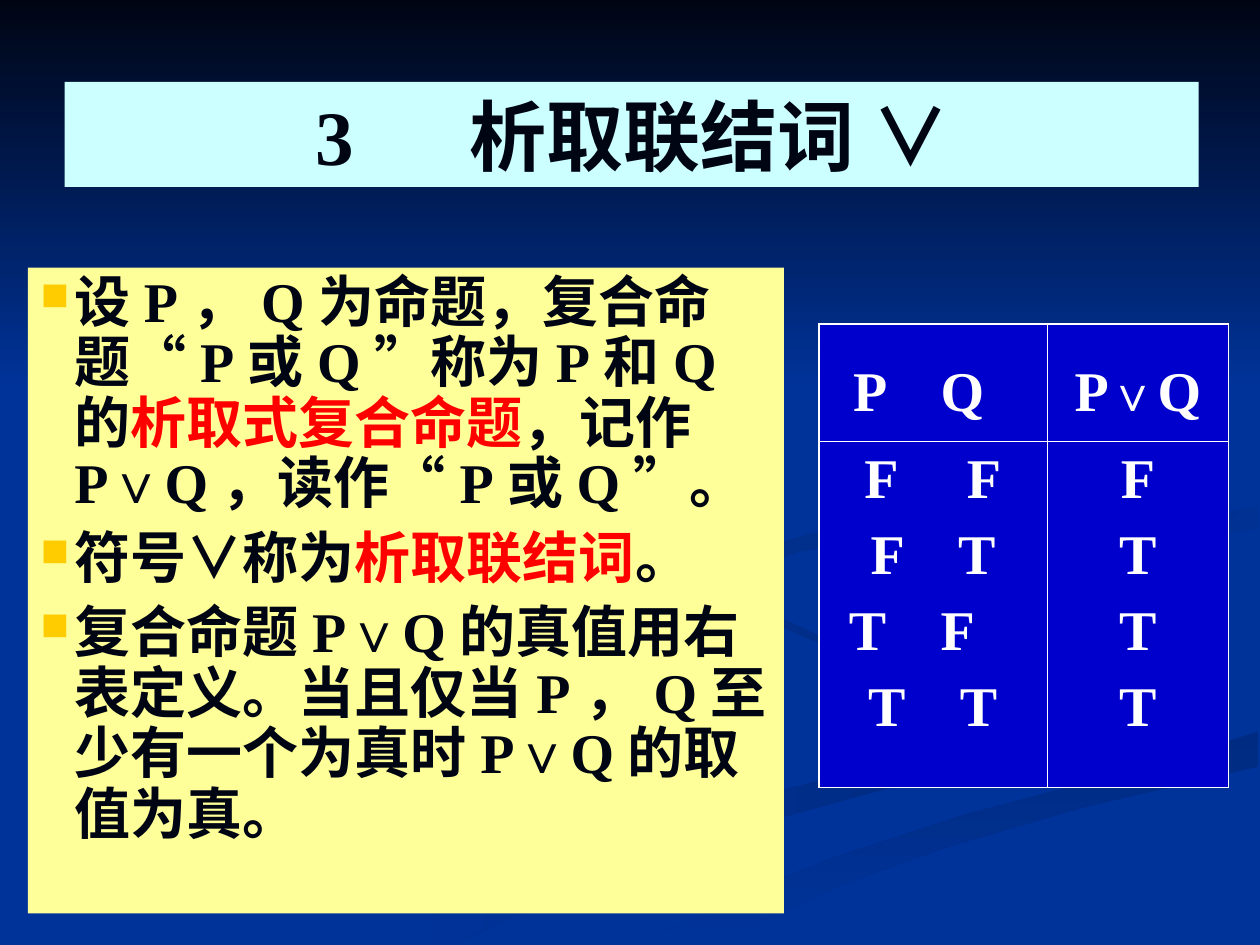
import pptx
import pptx.dml.color
import pptx.enum.shapes
import pptx.enum.text
import pptx.oxml
import pptx.oxml.ns
import pptx.util
from lxml import etree

Pt = pptx.util.Pt
RGB = pptx.dml.color.RGBColor
ALIGN = pptx.enum.text.PP_ALIGN
ANCHOR = pptx.enum.text.MSO_ANCHOR
qn = pptx.oxml.ns.qn

NIGHT = RGB(0x00, 0x05, 0x14)
BLUE = RGB(0x00, 0x33, 0x99)
SHADE = RGB(0x00, 0x2B, 0x82)
CYAN = RGB(0xCC, 0xFF, 0xFF)
YELLOW = RGB(0xFF, 0xFF, 0x99)
GOLD = RGB(0xFF, 0xCC, 0x00)
RED = RGB(0xFF, 0x00, 0x00)
WHITE = RGB(0xFF, 0xFF, 0xFF)
CELL_BLUE = RGB(0x00, 0x00, 0xCC)
FONT = "Times New Roman"

LONG_WAVE = [(414, 330), (437, 349), (491, 374), (546, 393), (566, 405), (557, 420),
             (523, 433), (469, 446), (388, 467), (300, 497), (216, 539), (260, 539),
             (336, 504), (406, 478), (487, 456), (554, 438), (574, 423), (576, 418),
             (569, 404), (526, 384), (462, 365), (428, 349)]
SHORE_WAVE = [(362, 539), (411, 539), (442, 523), (482, 505), (541, 484), (620, 461),
              (719, 438), (719, 418), (662, 436), (550, 466), (477, 490), (431, 508),
              (391, 528)]
SMALL_WAVE = [(562, 331), (566, 341), (595, 357), (580, 343), (584, 333), (607, 323),
              (645, 313), (719, 302), (719, 289), (671, 299), (623, 305), (583, 315)]
RING_WAVE = [(492, 310), (566, 297), (616, 281), (640, 261), (643, 241), (629, 215),
             (591, 188), (549, 168), (609, 201), (637, 230), (638, 250), (620, 266),
             (570, 282), (487, 298), (430, 315), (415, 333), (425, 348), (448, 360),
             (428, 342), (433, 325), (457, 315)]

POINTS = [
    [("设P，Q为命题，复合命题“P或Q”称为P和Q的", NIGHT), ("析取式复合命题", RED),
     ("，记作P∨Q，读作“P或Q”。", NIGHT)],
    [("符号∨称为", NIGHT), ("析取联结词", RED), ("。", NIGHT)],
    [("复合命题P∨Q的真值用右表定义。当且仅当P，Q至少有一个为真时P∨Q的取值为真。", NIGHT)],
]
TRUTH_ROWS = [("F", "F", "F", (26, 84.5)), ("F", "T", "T", (29.5, 79.5)),
              ("T", "F", "T", (17, 69.5)), ("T", "T", "T", (28, 80.5))]


def add_run(paragraph, text, size, color):
    run = paragraph.add_run()
    run.text = text
    run.font.name = FONT
    run.font.size = Pt(size)
    run.font.bold = True
    run.font.color.rgb = color


def add_tabs(paragraph, stops):
    tab_list = etree.SubElement(paragraph._p.get_or_add_pPr(), qn("a:tabLst"))
    for stop in stops:
        etree.SubElement(tab_list, qn("a:tab"), pos=str(int(Pt(stop))), algn="l")


def shade(shape, start, end, angle):
    shape.shadow.inherit = False
    shape.line.fill.background()
    shape.fill.gradient()
    shape.fill.gradient_angle = angle
    for stop, color in zip(shape.fill.gradient_stops, (start, end)):
        stop.color.rgb = color


def add_backdrop(slide, width, sky_height):
    slide.background.fill.solid()
    slide.background.fill.fore_color.rgb = BLUE
    waves = [(LONG_WAVE, SHADE, BLUE, 180), (SHORE_WAVE, SHADE, BLUE, 270),
             (SMALL_WAVE, BLUE, SHADE, 135), (RING_WAVE, BLUE, SHADE, 135)]
    for outline, start, end, angle in waves:
        builder = slide.shapes.build_freeform(*outline[0], scale=Pt(1))
        builder.add_line_segments(outline[1:], close=True)
        shade(builder.convert_to_shape(), start, end, angle)
    sky = slide.shapes.add_shape(pptx.enum.shapes.MSO_SHAPE.RECTANGLE,
                                 0, 0, Pt(width), Pt(sky_height))
    shade(sky, NIGHT, BLUE, 270)


def place_title(slide, left, top, width, height):
    title = slide.shapes.title
    slide.shapes._spTree.append(title._element)
    title.left, title.top = Pt(left), Pt(top)
    title.width, title.height = Pt(width), Pt(height)
    title.fill.solid()
    title.fill.fore_color.rgb = CYAN
    frame = title.text_frame
    frame.auto_size = pptx.enum.text.MSO_AUTO_SIZE.NONE
    frame.vertical_anchor = ANCHOR.MIDDLE
    frame.margin_left = Pt(143)
    heading = frame.paragraphs[0]
    heading.alignment = ALIGN.LEFT
    add_tabs(heading, [88.5])
    add_run(heading, "3\t析取联结词 ∨", 44, NIGHT)


def add_bullet(paragraph):
    props = paragraph._p.get_or_add_pPr()
    props.set("marL", str(int(Pt(19.5))))
    props.set("indent", str(int(Pt(-19.5))))
    color = etree.SubElement(props, qn("a:buClr"))
    etree.SubElement(color, qn("a:srgbClr"), val=str(GOLD))
    etree.SubElement(props, qn("a:buSzPct"), val="70000")
    etree.SubElement(props, qn("a:buChar"), char="■")


def add_definition(slide, left, top, width, height):
    definition = slide.shapes.add_textbox(Pt(left), Pt(top), Pt(width), Pt(height))
    definition.fill.solid()
    definition.fill.fore_color.rgb = YELLOW
    frame = definition.text_frame
    frame.word_wrap = True
    for index, point in enumerate(POINTS):
        paragraph = frame.add_paragraph() if index else frame.paragraphs[0]
        add_bullet(paragraph)
        paragraph.line_spacing = 0.9
        paragraph.space_before = Pt(8 if index else 0)
        for text, color in point:
            add_run(paragraph, text, 32, color)


def format_cell(cell, row, column):
    cell.fill.solid()
    cell.fill.fore_color.rgb = CELL_BLUE
    if column == 0:
        cell.margin_left = cell.margin_right = 0
    props = cell._tc.get_or_add_tcPr()
    outer = {"L": column == 0, "R": column == 1, "T": row == 0, "B": row == 1}
    for position, (side, is_outer) in enumerate(outer.items()):
        border = etree.Element(qn("a:ln" + side), w=str(int(Pt(1.08 if is_outer else 0.45))))
        fill = etree.SubElement(border, qn("a:solidFill"))
        etree.SubElement(fill, qn("a:srgbClr"), val=str(WHITE))
        props.insert(position, border)


def add_truth_table(slide, left, top, widths, heights):
    table = slide.shapes.add_table(2, 2, Pt(left), Pt(top),
                                   Pt(sum(widths)), Pt(sum(heights))).table
    for column, width in enumerate(widths):
        table.columns[column].width = Pt(width)
    for row, height in enumerate(heights):
        table.rows[row].height = Pt(height)
        for column in range(2):
            format_cell(table.cell(row, column), row, column)

    inputs = table.cell(0, 0).text_frame.paragraphs[0]
    inputs.line_spacing = 1.5
    add_tabs(inputs, [19.5, 69.5])
    add_run(inputs, "\tP\tQ", 32, WHITE)
    result = table.cell(0, 1).text_frame.paragraphs[0]
    result.line_spacing = 1.5
    result.alignment = ALIGN.CENTER
    for text, size in (("P", 32), ("∨", 28), ("Q", 32)):
        add_run(result, text, size, WHITE)

    frames = [table.cell(1, column).text_frame for column in range(2)]
    for index, (p, q, value, stops) in enumerate(TRUTH_ROWS):
        inputs, result = [frame.add_paragraph() if index else frame.paragraphs[0]
                          for frame in frames]
        inputs.space_before = result.space_before = Pt(8 if index else 0)
        result.alignment = ALIGN.CENTER
        add_tabs(inputs, stops)
        add_run(inputs, f"\t{p}\t{q}", 32, WHITE)
        add_run(result, value, 32, WHITE)


def main():
    deck = pptx.Presentation()
    deck.slide_width, deck.slide_height = Pt(720), Pt(540)
    slide = deck.slides.add_slide(deck.slide_layouts[5])
    add_backdrop(slide, 720, 222)
    place_title(slide, 37, 46.8, 648, 60)
    add_definition(slide, 16, 153, 432, 369)
    add_truth_table(slide, 468, 185, (130.5, 103.5), (67.5, 197.5))
    deck.save("out.pptx")


if __name__ == "__main__":
    main()
